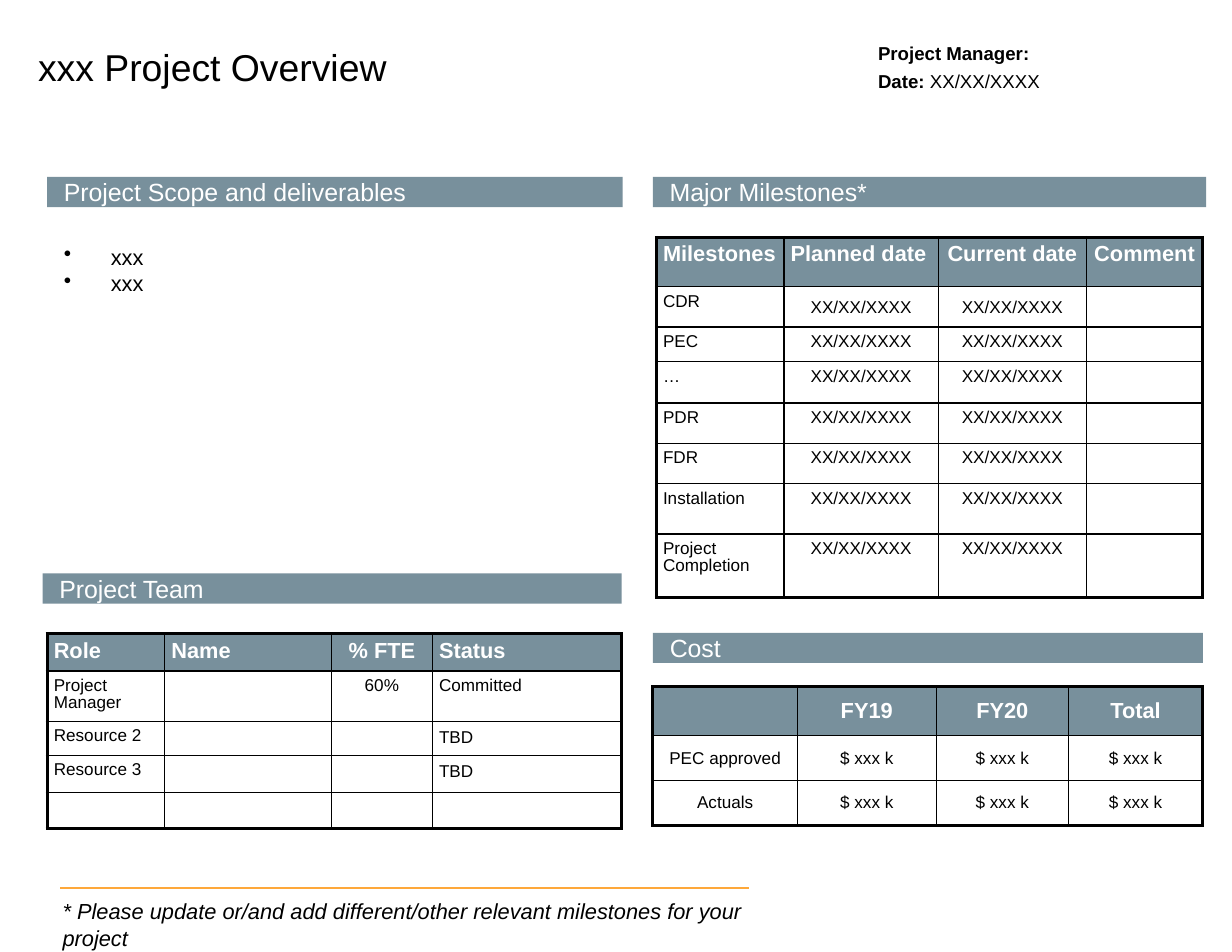
from lxml import etree
from pptx import Presentation
from pptx.dml.color import RGBColor
from pptx.enum.shapes import MSO_CONNECTOR, MSO_SHAPE
from pptx.enum.text import MSO_ANCHOR, PP_ALIGN
from pptx.oxml.ns import qn
from pptx.util import Inches, Pt

LEFT, CENTER = PP_ALIGN.LEFT, PP_ALIGN.CENTER
TOP, MIDDLE = MSO_ANCHOR.TOP, MSO_ANCHOR.MIDDLE
RECT, STRAIGHT = MSO_SHAPE.RECTANGLE, MSO_CONNECTOR.STRAIGHT

COLORS = {"slate": "78909C", "black": "000000", "white": "FFFFFF", "amber": "FEA83A"}
FONT = "Arial"
DATE = "XX/XX/XXXX"
AMOUNT = "$ xxx k"
THIN, THICK = 1, 2.25

TITLE = "xxx Project Overview"
DETAILS = [[("Project Manager:", True)], [("Date: ", True), (DATE, False)]]
SCOPE = ["xxx", "xxx"]
FOOTNOTE = "* Please update or/and add different/other relevant milestones for your project"

BARS = [
    ("Project Scope and deliverables", 0.42, 1.58, 5.14),
    ("Major Milestones*", 5.83, 1.58, 4.94),
    ("Project Team", 0.38, 5.12, 5.17),
    ("Cost", 5.83, 5.65, 4.91),
]

MILESTONES = ["CDR", "PEC", "…", "PDR", "FDR", "Installation", "Project Completion"]

TABLES = [
    {
        "at": (5.86, 2.12),
        "cols": [1.14, 1.38, 1.32, 1.04],
        "rows": [0.44, 0.36, 0.31, 0.37, 0.36, 0.36, 0.45, 0.57],
        "head_align": [LEFT, LEFT, CENTER, CENTER],
        "body_align": [LEFT, CENTER, CENTER, CENTER],
        "anchor": TOP, "inset": 0.06, "spacing": 0.9,
        "special": {(1, 1): 1.25, (1, 2): 1.25},
        "cells": [["Milestones", "Planned date", "Current date", "Comment"]]
        + [[name, DATE, DATE, ""] for name in MILESTONES],
    },
    {
        "at": (0.42, 5.66),
        "cols": [1.05, 1.49, 0.9, 1.69],
        "rows": [0.33, 0.44, 0.3, 0.33, 0.32],
        "head_align": [LEFT, LEFT, CENTER, LEFT],
        "body_align": [LEFT, LEFT, CENTER, LEFT],
        "anchor": TOP, "inset": 0.06, "spacing": 0.9,
        "special": {(2, 3): 1, (3, 3): 1},
        "cells": [
            ["Role", "Name", "% FTE", "Status"],
            ["Project Manager", "", "60%", "Committed"],
            ["Resource 2", "", "", "TBD"],
            ["Resource 3", "", "", "TBD"],
            ["", "", "", ""],
        ],
    },
    {
        "at": (5.83, 6.13),
        "cols": [1.29, 1.24, 1.18, 1.2],
        "rows": [0.44, 0.4, 0.4],
        "head_align": [CENTER] * 4,
        "body_align": [CENTER] * 4,
        "anchor": MIDDLE, "inset": 0.11, "spacing": 1,
        "special": {},
        "cells": [
            ["", "FY19", "FY20", "Total"],
            ["PEC approved"] + [AMOUNT] * 3,
            ["Actuals"] + [AMOUNT] * 3,
        ],
    },
]


def rgb(name):
    return RGBColor.from_string(COLORS[name])


def add_run(p, text, size, color="black", bold=False, italic=False):
    r = p.add_run()
    r.text = text
    r.font.name = FONT
    r.font.size = Pt(size)
    r.font.bold = bold
    r.font.italic = italic
    r.font.color.rgb = rgb(color)


def set_frame(tf, left, top, right, bottom):
    tf.word_wrap = True
    tf.vertical_anchor = TOP
    tf.margin_left, tf.margin_top = Inches(left), Inches(top)
    tf.margin_right, tf.margin_bottom = Inches(right), Inches(bottom)


def add_text(slide, box, insets):
    tf = slide.shapes.add_textbox(*map(Inches, box)).text_frame
    set_frame(tf, *insets)
    return tf


def paragraphs(tf, count):
    return [tf.paragraphs[0]] + [tf.add_paragraph() for _ in range(count - 1)]


def add_bar(slide, text, left, top, width):
    sp = slide.shapes.add_shape(RECT, *map(Inches, (left, top, width, 0.27)))
    sp.shadow.inherit = False
    sp.fill.solid()
    sp.fill.fore_color.rgb = rgb("slate")
    sp.line.fill.background()
    set_frame(sp.text_frame, 0.15, 0, 0.11, 0)
    p = sp.text_frame.paragraphs[0]
    p.alignment = LEFT
    add_run(p, text, 16, "white")


def set_borders(cell, widths):
    tc_pr = cell._tc.get_or_add_tcPr()
    for side, width in widths.items():
        ln = etree.SubElement(tc_pr, qn("a:ln" + side), w=str(Pt(width)))
        fill = etree.SubElement(ln, qn("a:solidFill"))
        etree.SubElement(fill, qn("a:srgbClr"), val=COLORS["black"])


def add_table(slide, spec_table):
    cols, rows = spec_table["cols"], spec_table["rows"]
    box = (*spec_table["at"], sum(cols), sum(rows))
    table = slide.shapes.add_table(len(rows), len(cols), *map(Inches, box)).table
    table.first_row = table.horz_banding = False
    for column, width in zip(table.columns, cols):
        column.width = Inches(width)
    for row, height in zip(table.rows, rows):
        row.height = Inches(height)
    for i, texts in enumerate(spec_table["cells"]):
        head = i == 0
        aligns = spec_table["head_align" if head else "body_align"]
        size = 14 if head else 11
        for j, text in enumerate(texts):
            cell = table.cell(i, j)
            set_borders(cell, {
                "L": THICK if j == 0 else THIN,
                "R": THICK if j == len(cols) - 1 else THIN,
                "T": THICK if head else THIN,
                "B": THICK if i == len(rows) - 1 else THIN,
            })
            cell.fill.solid()
            cell.fill.fore_color.rgb = rgb("slate" if head else "white")
            cell.vertical_anchor = spec_table["anchor"]
            cell.margin_left = cell.margin_right = Inches(spec_table["inset"])
            cell.margin_top = cell.margin_bottom = Inches(0.06)
            p = cell.text_frame.paragraphs[0]
            p.alignment = aligns[j]
            p.line_spacing = spec_table["special"].get((i, j), spec_table["spacing"])
            if text:
                add_run(p, text, size, "white" if head else "black", bold=head)
            else:
                etree.SubElement(p._p, qn("a:endParaRPr"), sz=str(size * 100))


prs = Presentation()
prs.slide_width, prs.slide_height = Inches(11), Inches(8.5)
slide = prs.slides.add_slide(prs.slide_layouts[5])

rule = slide.shapes.add_connector(STRAIGHT, *map(Inches, (0.54, 7.93, 6.69, 7.93)))
rule.line.color.rgb = rgb("amber")
rule.line.width = Pt(1)
etree.SubElement(rule._element.spPr, qn("a:effectLst"))

title = slide.shapes.title
title.left, title.top, title.width, title.height = map(Inches, (0.23, 0.33, 7.61, 0.52))
set_frame(title.text_frame, 0.11, 0.06, 0.11, 0.06)
p = title.text_frame.paragraphs[0]
p.alignment = LEFT
add_run(p, TITLE, 24)

for bar in BARS:
    add_bar(slide, *bar)

tf = add_text(slide, (0.46, 2.14, 5.03, 0.57), (0.11, 0.06, 0.11, 0.06))
for p, text in zip(paragraphs(tf, len(SCOPE)), SCOPE):
    p.line_spacing = 0.9
    p.space_before = Pt(2)
    p_pr = p._p.get_or_add_pPr()
    p_pr.set("marL", str(Inches(0.42)))
    p_pr.set("indent", str(-Inches(0.42)))
    etree.SubElement(p_pr, qn("a:buChar"), char="•")
    add_run(p, text, 14)

tf = add_text(slide, (7.84, 0.32, 4.76, 0.48), (0, 0, 0.11, 0))
for p, runs in zip(paragraphs(tf, len(DETAILS)), DETAILS):
    p.line_spacing = 1.25
    for text, bold in runs:
        add_run(p, text, 12, bold=bold)

for spec_table in TABLES:
    add_table(slide, spec_table)

tf = add_text(slide, (0.46, 7.97, 6.88, 0.34), (0.1, 0.05, 0.1, 0.05))
add_run(tf.paragraphs[0], FOOTNOTE, 14, italic=True)

prs.save("out.pptx")
